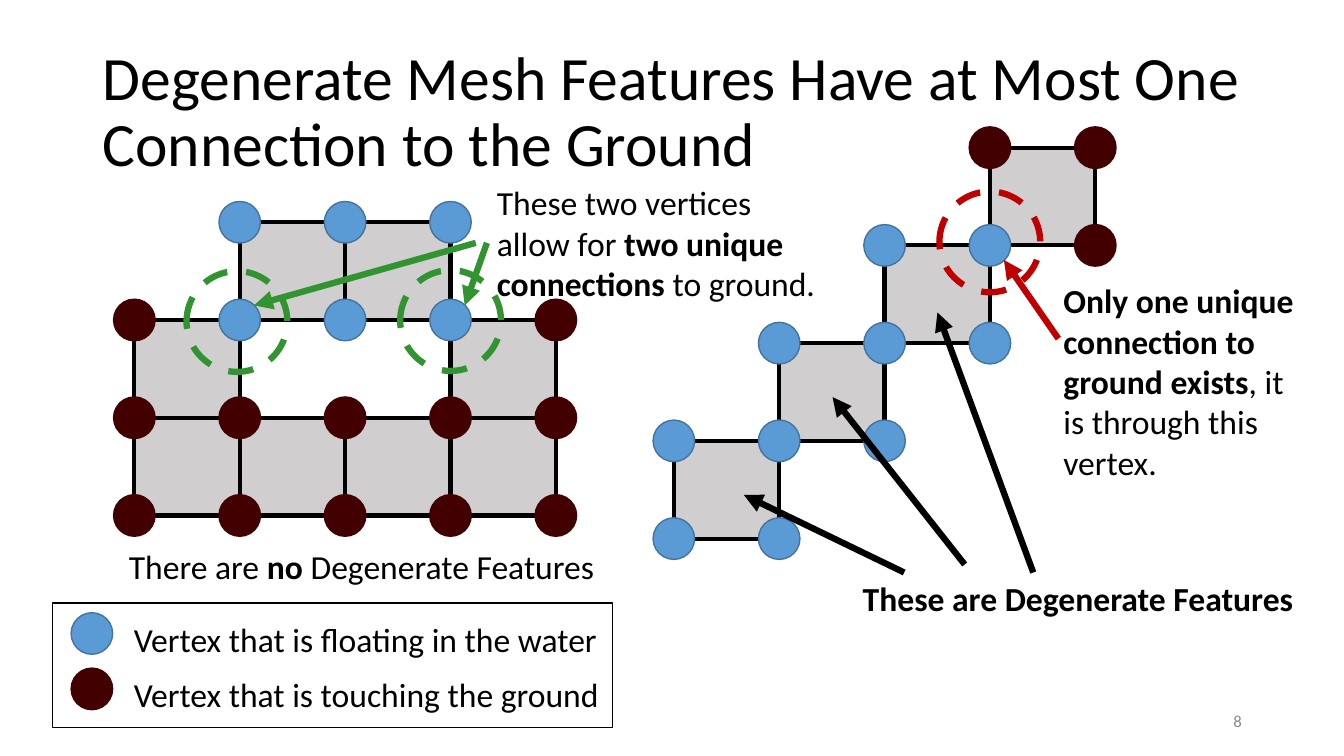
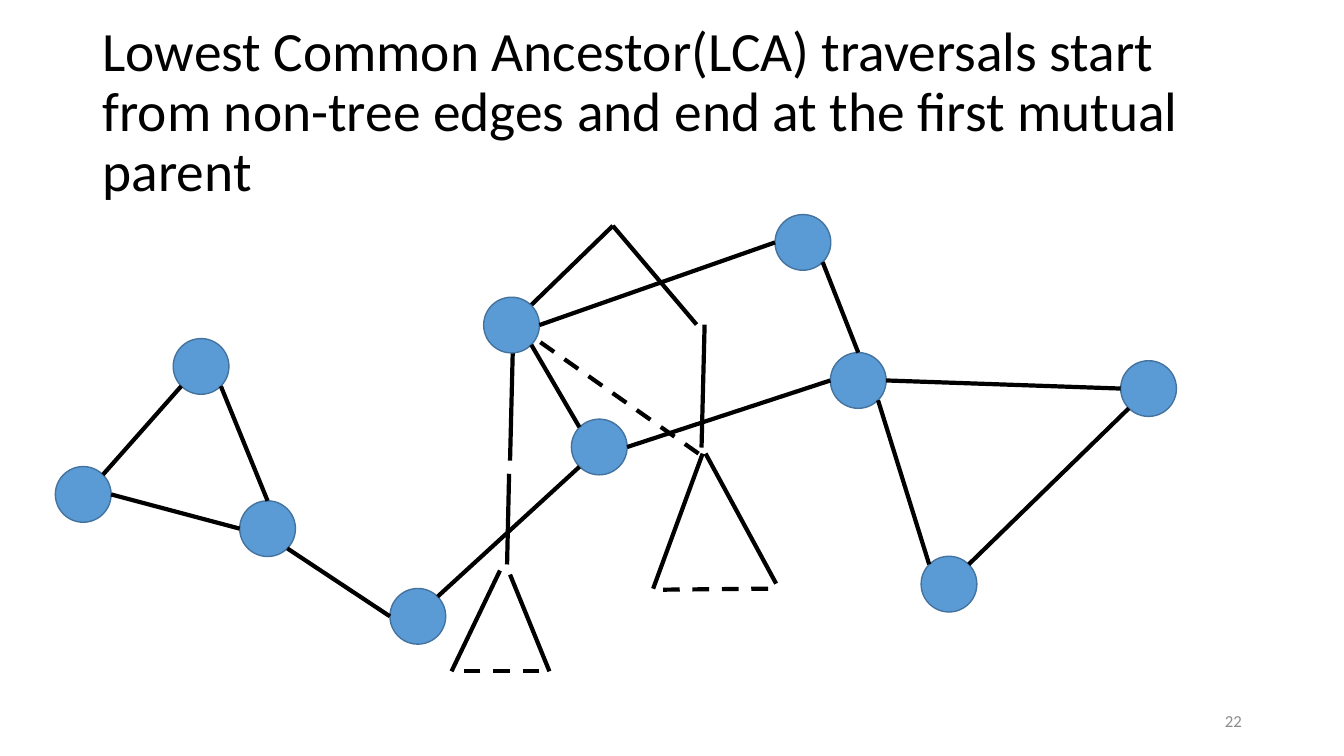
from lxml.etree import SubElement
from pptx import Presentation
from pptx.dml.color import RGBColor
from pptx.enum.dml import MSO_LINE
from pptx.enum.shapes import MSO_CONNECTOR, MSO_SHAPE
from pptx.enum.text import MSO_ANCHOR, PP_ALIGN
from pptx.oxml.ns import qn
from pptx.util import Inches, Pt

COLORS = {
    "ink": "000000", "page number": "8C8C8C", "cell": "D0CECE",
    "water": "5B9BD5", "water rim": "43739E", "ground": "420000",
    "red": "C00000", "green": "319431",
}
FONT = "Calibri"

presentation = Presentation()
presentation.slide_width = Inches(13.333)
presentation.slide_height = Inches(7.5)

# Positions count columns and rows of a 100 x 100 grid over the slide
COLUMN = presentation.slide_width / 100
ROW = presentation.slide_height / 100
VERTEX = (3.09, 5.5)
RING = (7.5, 13.33)
NODE = (4.15, 7.37)
MESH_STEP = (7.84, 12.93)


def add_figure(slide, kind, center, size, fill, outline, width=1, dashed=False):
    left, top = center[0] - size[0] / 2, center[1] - size[1] / 2
    shape = slide.shapes.add_shape(
        kind, int(left * COLUMN), int(top * ROW), int(size[0] * COLUMN), int(size[1] * ROW))
    shape.shadow.inherit = False
    if fill:
        shape.fill.solid()
        shape.fill.fore_color.rgb = RGBColor.from_string(COLORS[fill])
    else:
        shape.fill.background()
    shape.line.color.rgb = RGBColor.from_string(COLORS[outline])
    shape.line.width = Pt(width)
    if dashed:
        shape.line.dash_style = MSO_LINE.DASH


def add_line(slide, start, end, color="ink", width=3, dashed=False, arrow=False):
    connector = slide.shapes.add_connector(
        MSO_CONNECTOR.STRAIGHT, int(start[0] * COLUMN), int(start[1] * ROW),
        int(end[0] * COLUMN), int(end[1] * ROW))
    connector.line.color.rgb = RGBColor.from_string(COLORS[color])
    connector.line.width = Pt(width)
    if dashed:
        connector.line.dash_style = MSO_LINE.DASH
    if arrow:
        SubElement(connector.line._get_or_add_ln(), qn("a:tailEnd"), type="triangle")
    SubElement(connector._element.spPr, qn("a:effectLst"))


blank_layout = presentation.slide_layouts[6]
mesh_slide = presentation.slides.add_slide(blank_layout)
tree_slide = presentation.slides.add_slide(blank_layout)

# Meshes: origin, cells as (row, column), vertices in the water
meshes = [
    ((10, 29.4),
     [(0, 1), (0, 2), (1, 0), (1, 3), (2, 0), (2, 1), (2, 2), (2, 3)],
     {(0, 1), (0, 2), (0, 3), (1, 1), (1, 2), (1, 3)}),
    ((50.14, 19.53),
     [(0, 3), (1, 2), (2, 1), (3, 0)],
     {(1, 2), (1, 3), (2, 1), (2, 2), (2, 3), (3, 0), (3, 1), (3, 2), (4, 0), (4, 1)}),
]
for origin, cells, floating in meshes:
    edges = set()
    points = {}
    for row, column in cells:
        center = (origin[0] + (column + 0.5) * MESH_STEP[0],
                  origin[1] + (row + 0.5) * MESH_STEP[1])
        add_figure(mesh_slide, MSO_SHAPE.RECTANGLE, center, MESH_STEP, "cell", "cell")
        corners = [(row, column), (row, column + 1), (row + 1, column + 1), (row + 1, column)]
        for corner, following in zip(corners, corners[1:] + corners[:1]):
            edges.add(tuple(sorted((corner, following))))
            points[corner] = (origin[0] + corner[1] * MESH_STEP[0],
                              origin[1] + corner[0] * MESH_STEP[1])
    for start, end in sorted(edges):
        add_line(mesh_slide, points[start], points[end])
    for corner, point in points.items():
        fill, rim = ("water", "water rim") if corner in floating else ("ground", "ground")
        add_figure(mesh_slide, MSO_SHAPE.OVAL, point, VERTEX, fill, rim)

# Legend
add_figure(mesh_slide, MSO_SHAPE.RECTANGLE, (24.75, 88), (41.7, 16.53), None, "ink")
for position, (fill, rim) in enumerate([("water", "water rim"), ("ground", "ground")]):
    add_figure(mesh_slide, MSO_SHAPE.OVAL, (6.84, 83.8 + 7.33 * position), VERTEX, fill, rim)

# Rings around the connecting vertices, and arrows from the remarks
for center, color in [((73.65, 32), "red"), ((17.63, 42.53), "green"), ((33.53, 42.4), "green")]:
    add_figure(mesh_slide, MSO_SHAPE.OVAL, center, RING, None, color, 4.5, dashed=True)
for start, end, color in [
    ((67.28, 75.73), (55.35, 65.47), "ink"),
    ((71.78, 74.67), (61.95, 52.53), "ink"),
    ((76.88, 75.73), (69.75, 41.33), "ink"),
    ((78.75, 44.8), (74.7, 34.4), "red"),
    ((35.4, 32.13), (18.9, 40.4), "green"),
    ((36.23, 32.13), (34.58, 40.4), "green"),
]:
    add_line(mesh_slide, start, end, color, 4.5, arrow=True)

# Tree branches and subtrees behind the graph
for start, end, dashed in [
    ((52.2, 59.2), (52.43, 42.93), False),
    ((45.6, 29.87), (51.83, 42.93), False),
    ((45.6, 29.87), (38.03, 42.93), False),
    ((37.95, 60.93), (38.18, 44.67), False),
    ((51.98, 60), (38.55, 43.2), True),
    ((52.28, 60), (48.6, 77.87), False),
    ((52.5, 60), (57.75, 77.2), False),
    ((57.15, 77.87), (49.35, 78), True),
    ((37.73, 74.67), (37.88, 62.67), False),
    ((37.2, 75.47), (33.6, 88.8), False),
    ((40.88, 88.8), (37.95, 76), False),
    ((40.13, 88.8), (34.5, 88.8), True),
]:
    add_line(tree_slide, start, end, dashed=dashed)

# Graph nodes, and edges that run from rim to rim
nodes = {
    "hub": (38.06, 43), "right hub": (63.86, 50.33), "middle": (44.59, 59.13),
    "top": (59.74, 32.07), "right bottom": (70.61, 77.27), "bottom": (31.09, 81.53),
    "far right": (85.46, 51.4), "left corner": (19.91, 69.93),
    "left top": (14.96, 48.47), "far left": (6.19, 65.4),
}
rim_sites = {
    "N": (0, -1), "E": (1, 0), "W": (-1, 0), "NE": (0.71, -0.71),
    "NW": (-0.71, -0.71), "SE": (0.71, 0.71), "SW": (-0.71, 0.71),
}
for center in nodes.values():
    add_figure(tree_slide, MSO_SHAPE.OVAL, center, NODE, "water", "water rim")
for *start, end_node, end_site in [
    ("hub", "E", "top", "W"),
    ("hub", "SE", "middle", "NW"),
    ("middle", "SW", "bottom", "NE"),
    ("top", "SE", "right hub", "N"),
    ("right hub", "E", "far right", "W"),
    ("far right", "SW", "right bottom", "NE"),
    ("middle", "E", "right hub", "W"),
    ("right hub", "SE", "right bottom", "NW"),
    ("far left", "NE", "left top", "SW"),
    ("far left", "E", "left corner", "W"),
    ("left corner", "N", "left top", "SE"),
    ("left corner", "SE", "bottom", "W"),
]:
    ends = [
        [middle + offset * size / 2
         for middle, offset, size in zip(nodes[node], rim_sites[site], NODE)]
        for node, site in (start, (end_node, end_site))
    ]
    add_line(tree_slide, *ends)

# Text: slide, box, size, style, runs as (text, bold)
TITLE_BOX = (6.9, 5.33, 86.25, 19.33)
NUMBER_BOX = (70.65, 92.67, 22.5, 5.33)
texts = [
    (mesh_slide, TITLE_BOX, 44, "title",
     [("Degenerate Mesh Features Have at Most One Connection to the Ground", False)]),
    (mesh_slide, (9.22, 81.2, 36.3, 6.67), 24, "label",
     [("Vertex that is floating in the water", False)]),
    (mesh_slide, (9.22, 88.53, 36.38, 6.67), 24, "label",
     [("Vertex that is touching the ground", False)]),
    (mesh_slide, (78.38, 36.4, 19.65, 28.27), 24, "remark",
     [("Only one unique connection to ground exists", True),
      (", it is through this vertex.", False)]),
    (mesh_slide, (63.45, 75.73, 33.9, 6.67), 24, "label",
     [("These are Degenerate Features", True)]),
    (mesh_slide, (36.23, 23.47, 26.18, 17.47), 24, "remark",
     [("These two vertices allow for ", False), ("two unique connections ", True),
      ("to ground.", False)]),
    (mesh_slide, (8.85, 71.6, 36.53, 6.67), 24, "label",
     [("There are ", False), ("no", True), (" Degenerate Features", False)]),
    (mesh_slide, NUMBER_BOX, 12, "number", [("8", False)]),
    (tree_slide, TITLE_BOX, 39.6, "title",
     [("Lowest Common Ancestor(LCA) traversals start from non-tree edges "
       "and end at the first mutual parent", False)]),
    (tree_slide, NUMBER_BOX, 12, "number", [("22", False)]),
]
for slide, (left, top, width, height), size, style, runs in texts:
    shape = slide.shapes.add_textbox(
        int(left * COLUMN), int(top * ROW), int(width * COLUMN), int(height * ROW))
    frame = shape.text_frame
    frame.word_wrap = style != "label"
    if style in ("title", "number"):
        frame.vertical_anchor = MSO_ANCHOR.MIDDLE
    paragraph = frame.paragraphs[0]
    if style == "title":
        paragraph.line_spacing = 0.9
    if style == "number":
        paragraph.alignment = PP_ALIGN.RIGHT
    paragraph.font.name = FONT
    paragraph.font.size = Pt(size)
    color = COLORS["page number" if style == "number" else "ink"]
    paragraph.font.color.rgb = RGBColor.from_string(color)
    for text, bold in runs:
        run = paragraph.add_run()
        run.text = text
        run.font.bold = bold

presentation.save("out.pptx")
